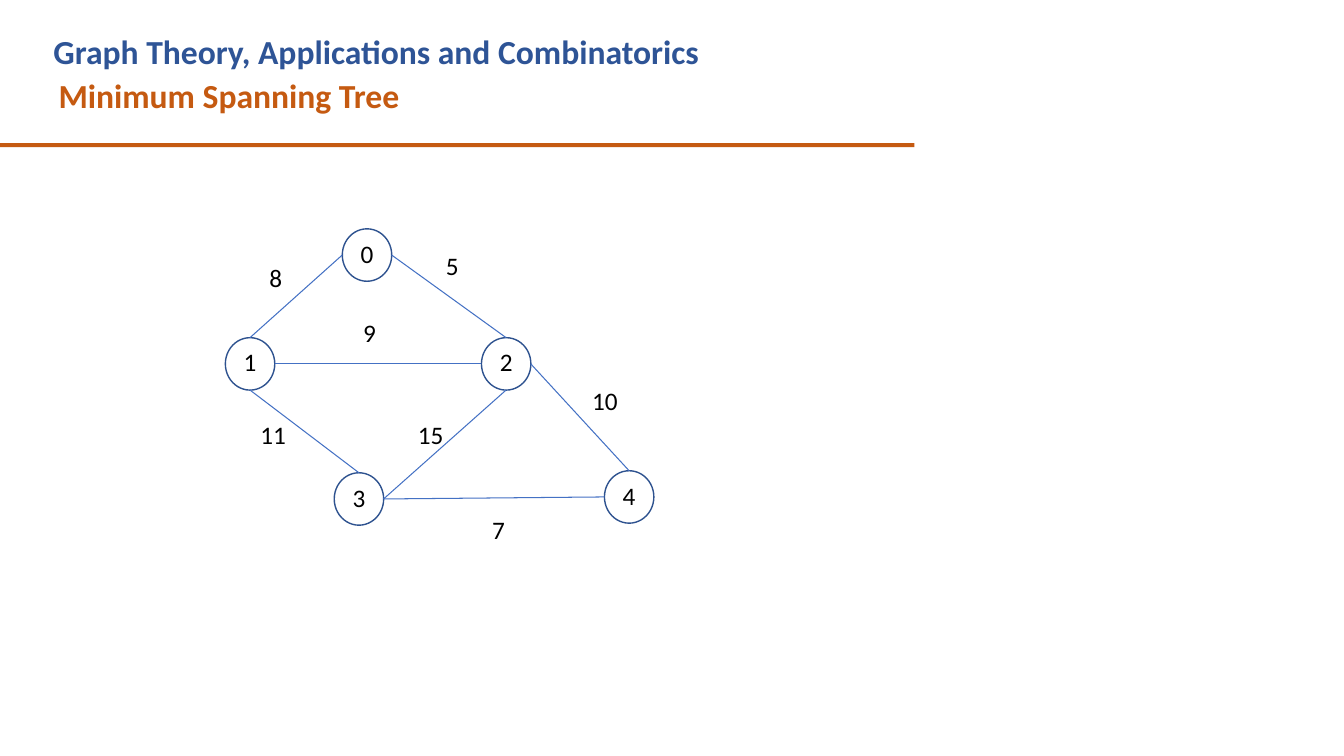
from pptx import Presentation
from pptx.dml.color import RGBColor
from pptx.enum.shapes import MSO_SHAPE
from pptx.enum.text import MSO_ANCHOR, PP_ALIGN
from pptx.util import Pt

PX = 9144  # 100 px to the inch
TITLE_BLUE = RGBColor(0x2E, 0x54, 0x96)
ORANGE = RGBColor(0xC5, 0x5A, 0x11)
NODE_BLUE = RGBColor(0x2E, 0x52, 0x8F)
EDGE_BLUE = RGBColor(0x44, 0x71, 0xC4)
BLACK = RGBColor(0, 0, 0)

# Content: title parts, nodes by centre, edges with weight and label place
TITLE = [("Graph Theory, Applications and Combinatorics ", TITLE_BLUE),
         ("Minimum Spanning Tree", ORANGE)]
NODE_SIZE = (49, 52)
NODES = {"0": (364, 253), "1": (248, 361), "2": (502, 361),
         "3": (356, 495), "4": (624, 493)}
EDGES = [("1", "top", "0", "left", "8", (266, 259)),
         ("1", "right", "2", "left", "9", (359, 314)),
         ("0", "right", "2", "top", "5", (441, 247)),
         ("1", "bottom", "3", "top", "11", (257, 415)),
         ("3", "right", "2", "bottom", "15", (413, 415)),
         ("3", "right", "4", "left", "7", (487, 509)),
         ("2", "right", "4", "top", "10", (586, 381))]
SIDES = {"top": (0, -1), "bottom": (0, 1), "left": (-1, 0), "right": (1, 0)}
LABEL_WIDTHS = {1: 15, 2: 28}
FRAME = {"margin_left": 0, "margin_right": 0, "margin_top": PX,
         "margin_bottom": 0, "word_wrap": False}
TITLE_FRAME = FRAME | {"margin_top": 2 * PX, "word_wrap": True}
NODE_FRAME = FRAME | {"margin_bottom": 5 * PX, "vertical_anchor": MSO_ANCHOR.MIDDLE}
NUMBER_FONT = {"name": "Calibri", "size": Pt(18)}
TITLE_FONT = {"name": "Calibri", "size": Pt(24), "bold": True}


def apply(target, values):
    for name, value in values.items():
        setattr(target, name, value)


def emu(*lengths):
    return [round(length * PX) for length in lengths]


def write(para, text, font, color):
    span = para.add_run()
    span.text = text
    apply(span.font, font)
    span.font.color.rgb = color


def write_number(frame, text):
    para = frame.paragraphs[0]
    para.alignment = PP_ALIGN.CENTER
    write(para, text, NUMBER_FONT, BLACK)


def outline(shape, color, width):
    shape.shadow.inherit = False
    shape.fill.background()
    apply(shape.line, {"width": Pt(width)})
    shape.line.color.rgb = color


def side_point(node, side):
    return emu(*(centre + step * size / 2 for centre, step, size
                 in zip(NODES[node], SIDES[side], NODE_SIZE)))


def add_title(page):
    box = page.shapes.add_textbox(*emu(49, 25, 648, 90))
    apply(box.text_frame, TITLE_FRAME)
    para = box.text_frame.paragraphs[0]
    para.line_spacing = 1.09
    # The second line hangs 5 px further in than the first
    layout = para._p.get_or_add_pPr()
    layout.set("marL", str(9 * PX))
    layout.set("indent", str(-5 * PX))
    for text, color in TITLE:
        write(para, text, TITLE_FONT, color)


def add_rule(page):
    rule = page.shapes.add_shape(MSO_SHAPE.RECTANGLE, *emu(0, 142, 907, 4))
    rule.shadow.inherit = False
    rule.fill.solid()
    rule.fill.fore_color.rgb = ORANGE
    rule.line.fill.background()


def add_node(page, name, centre):
    corner = [middle - size / 2 for middle, size in zip(centre, NODE_SIZE)]
    node = page.shapes.add_shape(MSO_SHAPE.OVAL, *emu(*corner, *NODE_SIZE))
    outline(node, NODE_BLUE, 1)
    apply(node.text_frame, NODE_FRAME)
    write_number(node.text_frame, name)


def add_edges(page):
    lines = [(side_point(start, start_side), side_point(end, end_side))
             for start, start_side, end, end_side, *label in EDGES]
    builder = page.shapes.build_freeform(*lines[0][0])
    for number, (start, end) in enumerate(lines):
        if number:
            builder.move_to(*start)
        builder.add_line_segments([end], close=False)
    outline(builder.convert_to_shape(), EDGE_BLUE, 0.75)


def add_weight(page, weight, corner):
    box = page.shapes.add_textbox(*emu(*corner, LABEL_WIDTHS[len(weight)], 33))
    apply(box.text_frame, FRAME)
    write_number(box.text_frame, weight)


def main():
    deck = Presentation()
    apply(deck, {"slide_width": 1333 * PX, "slide_height": 750 * PX})
    page = deck.slides.add_slide(deck.slide_layouts[6])

    # Heading
    add_title(page)
    add_rule(page)

    # Weighted graph
    for name, centre in NODES.items():
        add_node(page, name, centre)
    add_edges(page)
    for *ends, weight, corner in EDGES:
        add_weight(page, weight, corner)

    deck.save("out.pptx")


if __name__ == "__main__":
    main()
